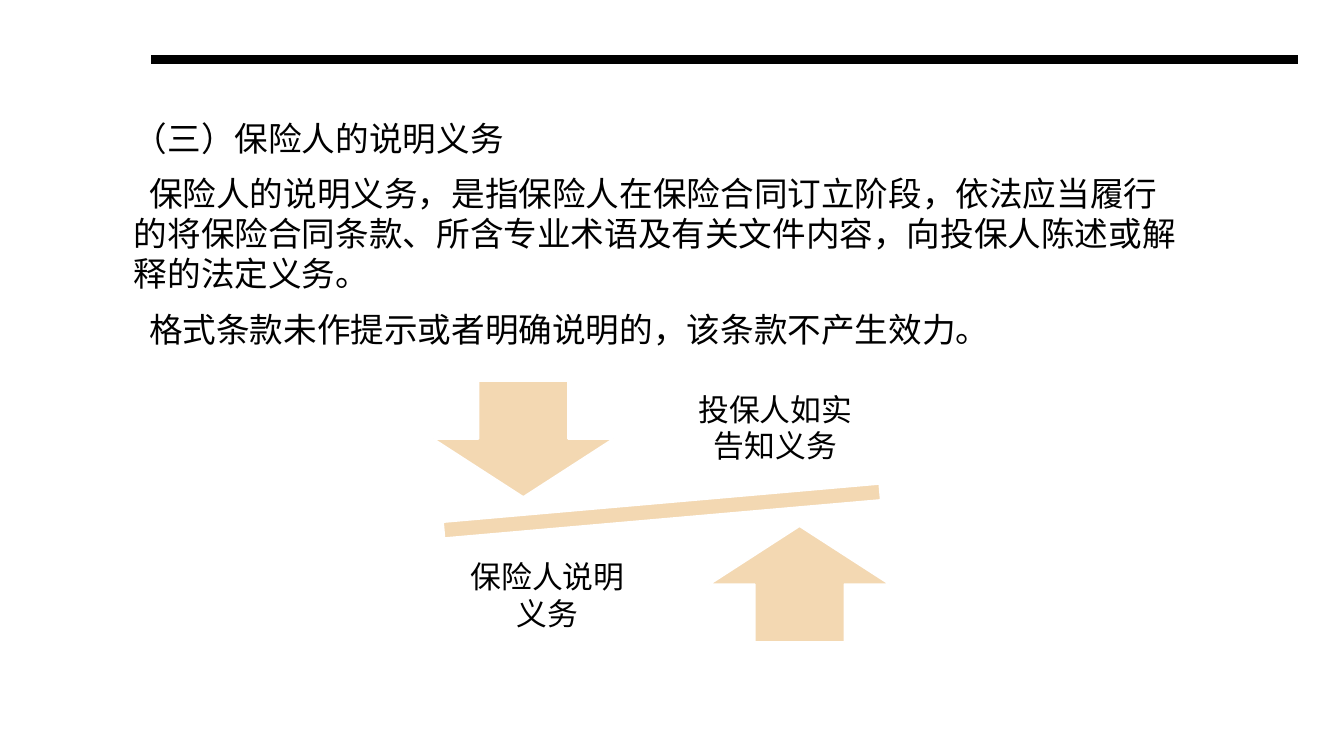
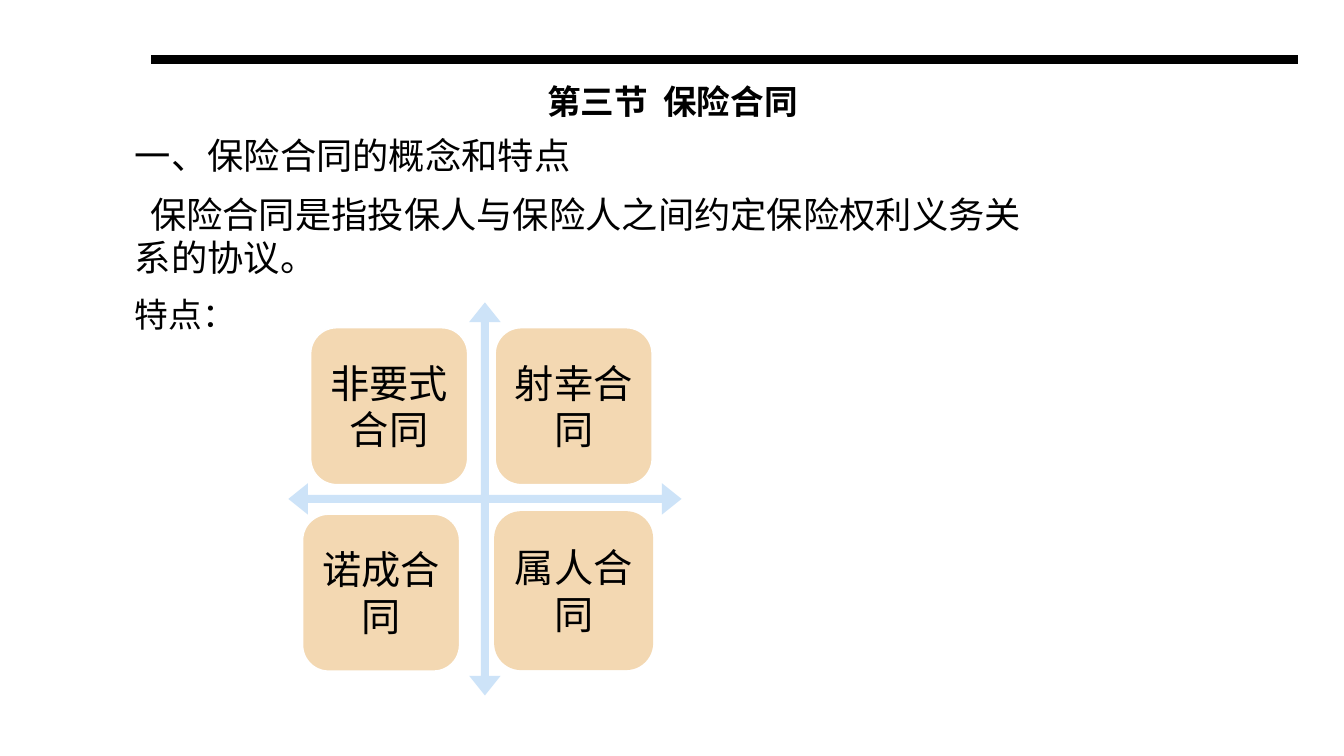
"""Build two slides on the duty of explanation and the insurance contract."""
from lxml.etree import SubElement
from pptx import Presentation
from pptx.dml.color import RGBColor
from pptx.enum.shapes import MSO_CONNECTOR, MSO_SHAPE
from pptx.enum.text import MSO_ANCHOR, PP_ALIGN
from pptx.oxml.ns import qn
from pptx.util import Inches, Pt

BLACK, WHITE, SAND, SKY = "000000", "FFFFFF", "F3D8B2", "CDE3F8"
CJK_FONT, LABEL_FONT = "Noto Sans CJK SC", "Calibri"
LINE_HEIGHT = 1.19
FIRST_LINE_INDENT = 0.15


def set_color(color_format, value):
    color_format.rgb = RGBColor.from_string(value)


def write(shape, lines, font_name=CJK_FONT, align=PP_ALIGN.LEFT,
          anchor=MSO_ANCHOR.MIDDLE, inset=(0.1, 0.05), bold=False):
    frame = shape.text_frame
    frame.word_wrap = True
    frame.vertical_anchor = anchor
    frame.margin_left = frame.margin_right = Inches(inset[0])
    frame.margin_top = frame.margin_bottom = Inches(inset[1])
    for index, (text, size, indent) in enumerate(lines):
        para = frame.paragraphs[0] if index == 0 else frame.add_paragraph()
        para.alignment = align
        para.line_spacing = Pt(round(size * LINE_HEIGHT, 1))
        para.space_before = Pt(5 if index else 0)
        para.space_after = Pt(6 if index < len(lines) - 1 else 0)
        if indent:
            para._p.get_or_add_pPr().set("indent", str(Inches(indent)))
        span = para.add_run()
        span.text = text
        span.font.size = Pt(size)
        span.font.bold = bold
        span.font.name = font_name
        set_color(span.font.color, BLACK)
        SubElement(span._r.get_or_add_rPr(), qn("a:ea"), typeface=CJK_FONT)


deck = Presentation()
deck.slide_width, deck.slide_height = Inches(13.33), Inches(7.5)
duty_page = deck.slides.add_slide(deck.slide_layouts[6])
contract_page = deck.slides.add_slide(deck.slide_layouts[5])

for page in (duty_page, contract_page):
    rule = page.shapes.add_connector(
        MSO_CONNECTOR.STRAIGHT, Inches(1.5), Inches(0.59), Inches(12.87), Inches(0.59))
    set_color(rule.line.color, BLACK)
    rule.line.width = Pt(7)
    SubElement(rule._element.spPr, qn("a:effectLst"))

title = contract_page.shapes.title
title.left, title.top = Inches(4.02), Inches(0.36)
title.width, title.height = Inches(5.3), Inches(1.29)
write(title, [("第三节  保险合同", 24, 0)], align=PP_ALIGN.CENTER, bold=True)

bodies = [
    (duty_page, 1.23, 1.12, 10.58, 2.5, [
        ("（三）保险人的说明义务", 24, 0),
        ("保险人的说明义务，是指保险人在保险合同订立阶段，依法应当履行的将保险合同条款、"
         "所含专业术语及有关文件内容，向投保人陈述或解释的法定义务。", 24, FIRST_LINE_INDENT),
        ("格式条款未作提示或者明确说明的，该条款不产生效力。", 24, FIRST_LINE_INDENT),
    ]),
    (contract_page, 1.24, 1.28, 9.05, 2.11, [
        ("一、保险合同的概念和特点", 25.9, 0),
        ("保险合同是指投保人与保险人之间约定保险权利义务关系的协议。", 25.9, FIRST_LINE_INDENT),
        ("特点：", 24.1, 0),
    ]),
]
for page, left, top, width, height, lines in bodies:
    box = page.shapes.add_textbox(Inches(left), Inches(top), Inches(width), Inches(height))
    write(box, lines, anchor=MSO_ANCHOR.TOP)

balance_parts = [
    (MSO_SHAPE.MATH_MINUS, 3.61, 4.73, 5.91, 0.68, 355),
    (MSO_SHAPE.DOWN_ARROW, 4.3, 3.78, 1.78, 1.15, 0),
    (MSO_SHAPE.UP_ARROW, 7.04, 5.22, 1.78, 1.15, 0),
]
for kind, left, top, width, height, rotation in balance_parts:
    part = duty_page.shapes.add_shape(
        kind, Inches(left), Inches(top), Inches(width), Inches(height))
    part.rotation = rotation
    part.shadow.inherit = False
    part.fill.solid()
    set_color(part.fill.fore_color, SAND)
    set_color(part.line.color, WHITE)
    part.line.width = Pt(1.25)

for text, left, top in (("投保人如实告知义务", 6.74, 3.64), ("保险人说明义务", 4.48, 5.3)):
    label = duty_page.shapes.add_textbox(Inches(left), Inches(top), Inches(1.9), Inches(1.2))
    write(label, [(text, 22, 0)], LABEL_FONT, PP_ALIGN.CENTER, inset=(0.15, 0.17))

cross = contract_page.shapes.add_shape(
    MSO_SHAPE.QUAD_ARROW, Inches(2.86), Inches(3), Inches(3.9), Inches(3.9))
for index, value in enumerate((0.02, 0.04, 0.05)):
    cross.adjustments[index] = value
cross.shadow.inherit = False
cross.fill.solid()
set_color(cross.fill.fore_color, SKY)
cross.line.fill.background()

features = [
    ("非要式合同", 3.08, 3.25, WHITE),
    ("射幸合同", 4.91, 3.25, WHITE),
    ("诺成合同", 3, 5.1, WHITE),
    ("属人合同", 4.91, 5.08, SAND),
]
for text, left, top, outline in features:
    card = contract_page.shapes.add_shape(
        MSO_SHAPE.ROUNDED_RECTANGLE, Inches(left), Inches(top), Inches(1.56), Inches(1.56))
    card.shadow.inherit = False
    card.fill.solid()
    set_color(card.fill.fore_color, SAND)
    set_color(card.line.color, outline)
    card.line.width = Pt(1.25)
    write(card, [(text, 28, 0)], LABEL_FONT, PP_ALIGN.CENTER, inset=(0.04, 0.12))

deck.save("out.pptx")
